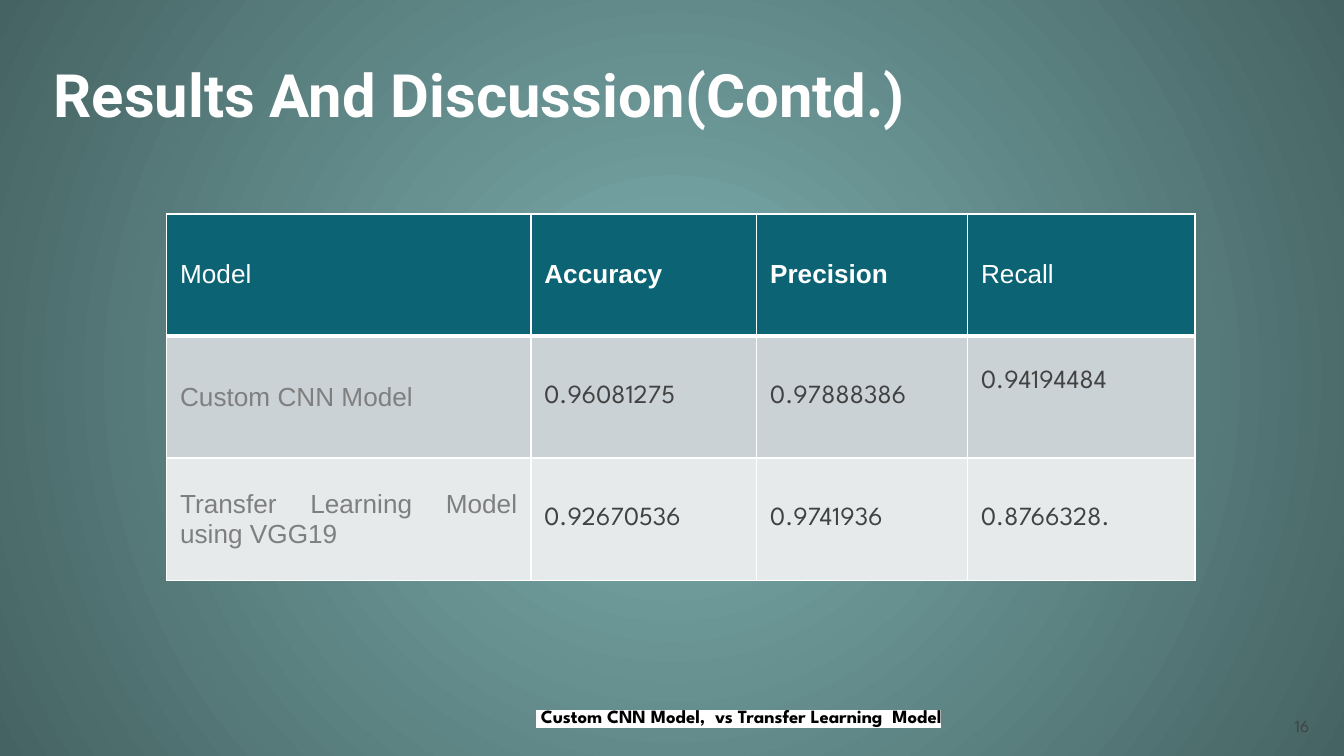
from lxml.etree import SubElement
from pptx import Presentation
from pptx.dml.color import RGBColor
from pptx.enum.text import MSO_ANCHOR, PP_ALIGN
from pptx.oxml import parse_xml
from pptx.oxml.ns import nsdecls, qn
from pptx.util import Inches, Pt

W = 10
H = W * 9 / 16
WHITE = RGBColor(0xFF, 0xFF, 0xFF)
BLACK = RGBColor(0, 0, 0)
GLOW = RGBColor(0x7D, 0xAF, 0xAF)
EDGE = RGBColor(0x46, 0x63, 0x63)
TEAL = RGBColor(0x0B, 0x63, 0x74)
GREY = RGBColor(0x7F, 0x7F, 0x7F)
DARK = RGBColor(0x42, 0x42, 0x42)
BANDS = [TEAL, RGBColor(0xCA, 0xD2, 0xD5), RGBColor(0xE6, 0xEA, 0xEB)]

TITLE = dict(name="Roboto", size=Pt(32), bold=True, color=WHITE)
CAPTION = dict(name="League Spartan", size=Pt(10), bold=True, color=BLACK)
NUMBER = dict(name="League Spartan", size=Pt(9), bold=False, color=DARK)
HEAD = dict(name="Arial", size=Pt(14), bold=False, color=WHITE)
MODEL = dict(HEAD, color=GREY)
VALUE = dict(MODEL, name="League Spartan", color=DARK)

ROWS = [
    ["Model", "Accuracy", "Precision", "Recall"],
    ["Custom CNN Model", "0.96081275", "0.97888386", "0.94194484"],
    ["Transfer Learning Model using VGG19", "0.92670536", "0.9741936", "0.8766328."],
]
COL_WIDTHS = [2.71, 1.68, 1.57, 1.69]


def write(tf, text, style, align):
    """Put one formatted run into a text frame and return it."""
    p = tf.paragraphs[0]
    p.alignment = align
    r = p.add_run()
    r.text = text
    for key, value in style.items():
        if key == "color":
            r.font.color.rgb = value
        else:
            setattr(r.font, key, value)
    return r


def frame(sp, box):
    """Place a text shape in its box with even insets."""
    sp.left, sp.top, sp.width, sp.height = map(Inches, box)
    tf = sp.text_frame
    tf.word_wrap, tf.vertical_anchor = True, MSO_ANCHOR.TOP
    for side in ("left", "top", "right", "bottom"):
        setattr(tf, f"margin_{side}", Inches(0.1))
    return tf


def add_background(s):
    """Fill the slide with a circular gradient."""
    fill = s.background.fill
    fill.gradient()
    for stop, color in zip(fill.gradient_stops, (GLOW, EDGE)):
        stop.color.rgb = color
    grad = next(s.element.iter(qn("a:gradFill")))
    for lin in grad.findall(qn("a:lin")):
        grad.remove(lin)
    circle = SubElement(grad, qn("a:path"), path="circle")
    SubElement(circle, qn("a:fillToRect"), dict.fromkeys("ltrb", "50000"))


def add_title(s, box):
    """Place and fill the title placeholder."""
    write(frame(s.shapes.title, box), "Results And Discussion(Contd.)", TITLE, PP_ALIGN.LEFT)


def add_text(s, box, text, style, align):
    """Add a text box and return its run."""
    sp = s.shapes.add_textbox(*map(Inches, box))
    return write(frame(sp, box), text, style, align)


def highlight(r, color):
    """Set a highlight colour behind a run."""
    mark = parse_xml(f'<a:highlight {nsdecls("a")}><a:srgbClr val="{color}"/></a:highlight>')
    next(r._r.iter(qn("a:solidFill"))).addnext(mark)


def border(cell, widths):
    """Draw white cell borders with a width in points for each side."""
    tc_pr = cell._tc.get_or_add_tcPr()
    for side, width in widths.items():
        tc_pr.append(parse_xml(
            f'<a:ln{side} {nsdecls("a")} w="{Pt(width)}"><a:solidFill>'
            f'<a:srgbClr val="{WHITE}"/></a:solidFill></a:ln{side}>'))


def cell_style(row, col):
    """Choose the text format for a cell by its place."""
    if row == 0:
        return dict(HEAD, bold=col in (1, 2))
    return VALUE if col else MODEL


def add_results(s, box):
    """Build the table of model scores in its box."""
    width, height = box[2:]
    table = s.shapes.add_table(len(ROWS), len(COL_WIDTHS), *map(Inches, box)).table
    for col, share in zip(table.columns, COL_WIDTHS):
        col.width = Inches(width * share / sum(COL_WIDTHS))
    for i, texts in enumerate(ROWS):
        table.rows[i].height = Inches(height / len(ROWS))
        for j, text in enumerate(texts):
            cell = table.cell(i, j)
            border(cell, dict(L=1, R=1, T=3 if i == 1 else 1, B=3 if i == 0 else 1))
            cell.fill.solid()
            cell.fill.fore_color.rgb = BANDS[i]
            cell.vertical_anchor = MSO_ANCHOR.MIDDLE
            write(cell.text_frame, text, cell_style(i, j), PP_ALIGN.JUSTIFY)
    table.cell(1, 3).margin_bottom = Inches(0.27)


def main():
    """Build and save the slide."""
    prs = Presentation()
    prs.slide_width, prs.slide_height = Inches(W), Inches(H)
    s = prs.slides.add_slide(prs.slide_layouts[5])
    add_background(s)
    add_title(s, (0.03 * W, 0.33, 0.94 * W, 0.98))
    caption = add_text(s, (2.47, 5.16, 6.05, 0.37),
                       " Custom CNN Model,  vs Transfer Learning  Model", CAPTION, PP_ALIGN.CENTER)
    highlight(caption, WHITE)
    add_results(s, (1.24, 1.59, sum(COL_WIDTHS), 2.73))
    add_text(s, (9.34, 5.25, 0.5, 0.35), "16", NUMBER, PP_ALIGN.RIGHT)
    prs.save("out.pptx")


if __name__ == "__main__":
    main()
